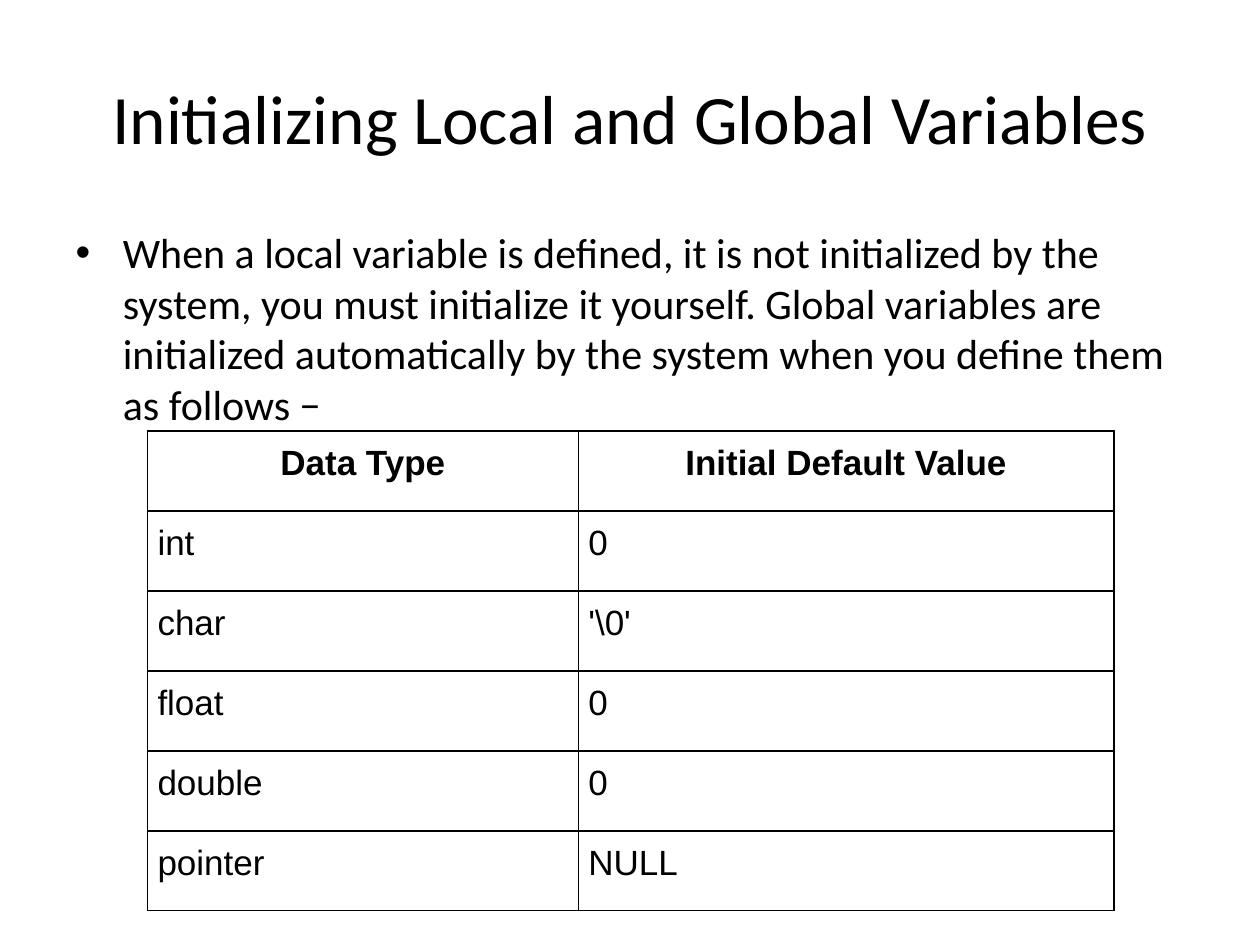
import pptx
import pptx.util
import pptx.dml.color
import pptx.enum.text
import pptx.oxml
import pptx.oxml.ns
from pptx.util import Inches

# Content
TITLE = "Initializing Local and Global Variables"
BODY = (
    "When a local variable is defined, it is not initialized by the system, "
    "you must initialize it yourself. Global variables are initialized "
    "automatically by the system when you define them as follows −"
)
DEFAULTS = [
    ("Data Type", "Initial Default Value"),
    ("int", "0"),
    ("char", r"'\0'"),
    ("float", "0"),
    ("double", "0"),
    ("pointer", "NULL"),
]
COLUMN_WIDTHS = [3.42, 4.25]
TABLE_LEFT, TABLE_TOP, TABLE_HEIGHT = 1.17, 3.42, 3.81
CELL_MARGIN = 0.08
COLORS = {"text": "000000", "border": "000000", "page": "FFFFFF"}
ALIGN = pptx.enum.text.PP_ALIGN


def rgb(name):
    return pptx.dml.color.RGBColor.from_string(COLORS[name])


def style_font(paragraph, face, size, bold=False):
    font = paragraph.font
    font.name, font.size, font.bold = face, pptx.util.Pt(size), bold
    font.color.rgb = rgb("text")


def fill_placeholder(shape, text, place, size, anchor):
    shape.left, shape.top, shape.width, shape.height = map(Inches, place)
    frame = shape.text_frame
    frame.text = text
    frame.word_wrap = True
    frame.auto_size = pptx.enum.text.MSO_AUTO_SIZE.NONE
    frame.vertical_anchor = anchor
    style_font(frame.paragraphs[0], "Calibri", size)
    return frame.paragraphs[0]


def add_borders(cell, points=1):
    properties = cell._tc.get_or_add_tcPr()
    for position, side in enumerate(("lnL", "lnR", "lnT", "lnB")):
        line = pptx.oxml.parse_xml(
            f'<a:{side} {pptx.oxml.ns.nsdecls("a")} w="{pptx.util.Pt(points)}">'
            f'<a:solidFill><a:srgbClr val="{COLORS["border"]}"/></a:solidFill>'
            f'</a:{side}>'
        )
        properties.insert(position, line)


def fill_cell(cell, text, header):
    cell.text = text
    cell.margin_left = cell.margin_right = Inches(CELL_MARGIN)
    cell.margin_top = cell.margin_bottom = Inches(CELL_MARGIN)
    cell.fill.background()
    para = cell.text_frame.paragraphs[0]
    para.alignment = ALIGN.CENTER if header else ALIGN.LEFT
    para.line_spacing = 1.07
    style_font(para, "Arial", 20, bold=header)
    add_borders(cell)


def main():
    deck = pptx.Presentation()
    deck.slide_width, deck.slide_height = Inches(10), Inches(7.5)
    page = deck.slides.add_slide(deck.slide_layouts[1])
    page.background.fill.solid()
    page.background.fill.fore_color.rgb = rgb("page")

    # Title and bulleted text
    anchors = pptx.enum.text.MSO_ANCHOR
    heading = fill_placeholder(page.shapes.title, TITLE, (0.5, 0.3, 9, 1.25),
                               39.6, anchors.MIDDLE)
    heading.alignment = ALIGN.CENTER
    fill_placeholder(page.placeholders[1], BODY, (0.5, 1.75, 9, 4.95),
                     24, anchors.TOP)

    # Table of default values
    table = page.shapes.add_table(
        len(DEFAULTS), len(COLUMN_WIDTHS), Inches(TABLE_LEFT), Inches(TABLE_TOP),
        Inches(sum(COLUMN_WIDTHS)), Inches(TABLE_HEIGHT),
    ).table
    table.horz_banding = False
    for column, width in zip(table.columns, COLUMN_WIDTHS):
        column.width = Inches(width)
    for row_index, values in enumerate(DEFAULTS):
        for column_index, value in enumerate(values):
            fill_cell(table.cell(row_index, column_index), value, row_index == 0)

    deck.save("out.pptx")


if __name__ == "__main__":
    main()
